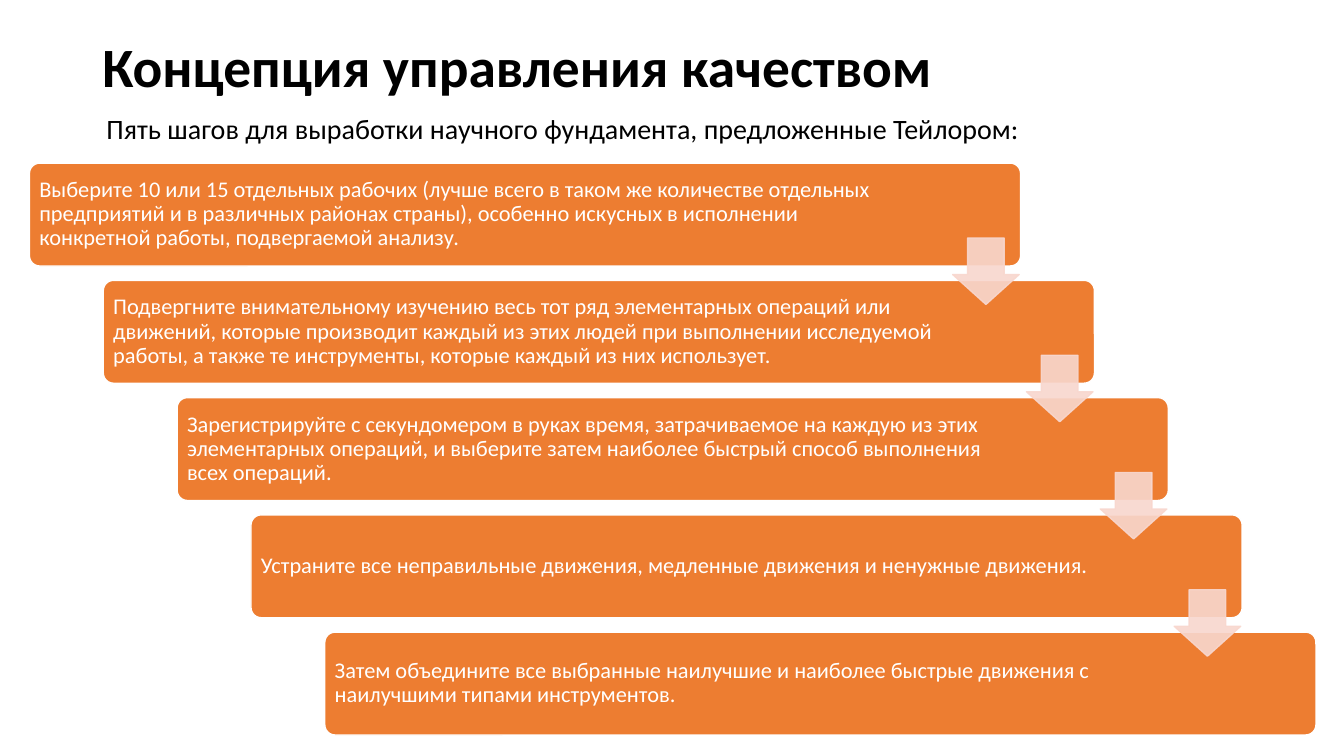
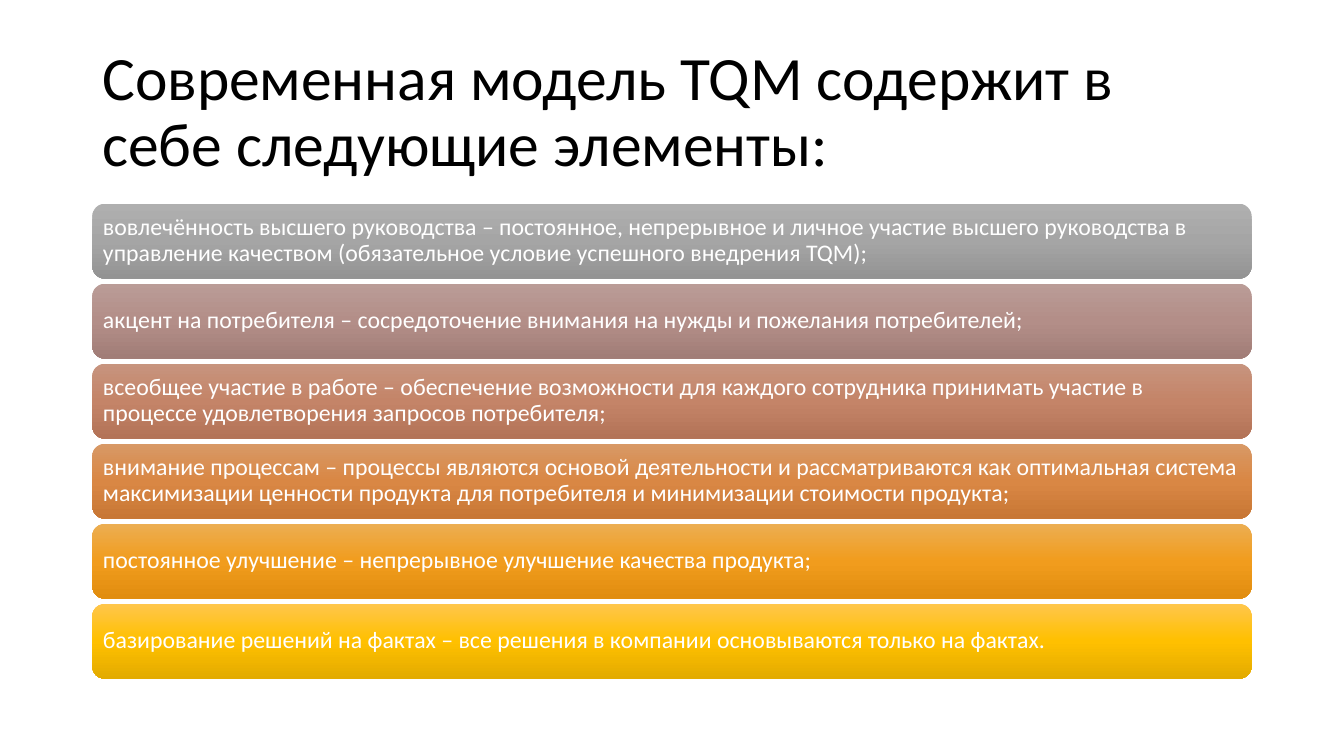
from copy import deepcopy

from pptx import Presentation
from pptx.dml.color import RGBColor
from pptx.enum.shapes import MSO_SHAPE
from pptx.enum.text import MSO_ANCHOR, PP_ALIGN
from pptx.oxml.ns import qn
from pptx.util import Pt
from lxml import etree

ROUNDED = MSO_SHAPE.ROUNDED_RECTANGLE
DOWN_ARROW = MSO_SHAPE.DOWN_ARROW
MIDDLE, TOP = MSO_ANCHOR.MIDDLE, MSO_ANCHOR.TOP
LEFT, CENTER = PP_ALIGN.LEFT, PP_ALIGN.CENTER

FONT = "Calibri"
BLACK = RGBColor(0x00, 0x00, 0x00)
WHITE = RGBColor(0xFF, 0xFF, 0xFF)
ORANGE = RGBColor(0xED, 0x7D, 0x31)
PALE_PINK = RGBColor(0xF8, 0xD7, 0xCE)

MARGIN, CONTENT_WIDTH = 66, 828
TITLE_TOP = 29
INSET = 5

STEP_LEFT, STEP_TOP = 21, 116.5
STEP_SHIFT, STEP_PITCH = 52.75, 83.75
STEP_WIDTH, STEP_HEIGHT = 708, 73.5
ARROW_SIZE, ARROW_RIGHT, ARROW_DOWN = 47.5, 659.5, 53.5

ROW_TOP, ROW_PITCH, ROW_HEIGHT = 145.5, 57.15, 53.5

STEPS = [
    ("Выберите 10 или 15 отдельных рабочих (лучше всего в таком же количестве отдельных "
     "предприятий и в различных районах страны), особенно искусных в исполнении "
     "конкретной работы, подвергаемой анализу.", 89),
    ("Подвергните внимательному изучению весь тот ряд элементарных операций или "
     "движений, которые производит каждый из этих людей при выполнении исследуемой "
     "работы, а также те инструменты, которые каждый из них использует.", 106),
    ("Зарегистрируйте с секундомером в руках время, затрачиваемое на каждую из этих "
     "элементарных операций, и выберите затем наиболее быстрый способ выполнения "
     "всех операций.", 106),
    ("Устраните все неправильные движения, медленные движения и ненужные движения.", 106),
    ("Затем объедините все выбранные наилучшие и наиболее быстрые движения с "
     "наилучшими типами инструментов.", 106),
]

ELEMENTS = [
    ("вовлечённость высшего руководства – постоянное, непрерывное и личное участие "
     "высшего руководства в управление качеством (обязательное условие успешного "
     "внедрения TQM);",
     (RGBColor(0xAF, 0xAF, 0xAF), RGBColor(0xA5, 0xA5, 0xA5), RGBColor(0x93, 0x93, 0x93))),
    ("акцент на потребителя – сосредоточение внимания на нужды и пожелания потребителей;",
     (RGBColor(0xBA, 0x9C, 0x97), RGBColor(0xB3, 0x8E, 0x88), RGBColor(0xA1, 0x7D, 0x77))),
    ("всеобщее участие в работе – обеспечение возможности для каждого сотрудника "
     "принимать участие в процессе удовлетворения запросов потребителя;",
     (RGBColor(0xC7, 0x94, 0x7E), RGBColor(0xC4, 0x84, 0x68), RGBColor(0xB3, 0x73, 0x57))),
    ("внимание процессам – процессы являются основой деятельности и рассматриваются как "
     "оптимальная система максимизации ценности продукта для потребителя и минимизации "
     "стоимости продукта;",
     (RGBColor(0xD8, 0x99, 0x66), RGBColor(0xD9, 0x87, 0x44), RGBColor(0xC8, 0x77, 0x35))),
    ("постоянное улучшение – непрерывное улучшение качества продукта;",
     (RGBColor(0xEC, 0xAE, 0x52), RGBColor(0xF1, 0x9C, 0x1D), RGBColor(0xE1, 0x8D, 0x0F))),
    ("базирование решений на фактах – все решения в компании основываются только на фактах.",
     (RGBColor(0xFF, 0xC6, 0x4B), RGBColor(0xFF, 0xC0, 0x00), RGBColor(0xE3, 0xAB, 0x00))),
]


def write(shape, text, size, color=BLACK, bold=False, align=LEFT, anchor=MIDDLE,
          wrap=True, insets=None):
    frame = shape.text_frame
    frame.word_wrap = wrap
    frame.vertical_anchor = anchor
    if insets:
        frame.margin_left, frame.margin_top, frame.margin_right, frame.margin_bottom = map(Pt, insets)
    para = frame.paragraphs[0]
    para.alignment = align
    para.line_spacing = 0.9
    span = para.add_run()
    span.text = text
    span.font.name = FONT
    span.font.size = Pt(size)
    span.font.bold = bold
    span.font.color.rgb = color


def add_panel(page, kind, left, top, width, height):
    shape = page.shapes.add_shape(kind, Pt(left), Pt(top), Pt(width), Pt(height))
    shape.shadow.inherit = False
    return shape


deck = Presentation()
deck.slide_width, deck.slide_height = Pt(960), Pt(540)
pages = []

for text, size, bold, height in [
    ("Концепция управления качеством", 39.6, True, 41),
    ("Современная модель TQM содержит в себе следующие элементы:", 44, False, 104.5),
]:
    page = deck.slides.add_slide(deck.slide_layouts[6])
    title = page.shapes.add_textbox(Pt(MARGIN), Pt(TITLE_TOP), Pt(CONTENT_WIDTH), Pt(height))
    write(title, text, size, bold=bold)
    pages.append(page)

steps_page, elements_page = pages

for index, (text, right_inset) in enumerate(STEPS):
    left = STEP_LEFT + index * STEP_SHIFT
    top = STEP_TOP + index * STEP_PITCH
    box = add_panel(steps_page, ROUNDED, left, top, STEP_WIDTH, STEP_HEIGHT)
    box.adjustments[0] = 0.1
    box.fill.solid()
    box.fill.fore_color.rgb = ORANGE
    box.line.color.rgb = WHITE
    box.line.width = Pt(1)
    write(box, text, 16, color=WHITE, insets=(INSET, INSET, right_inset, INSET))

for index in range(len(STEPS) - 1):
    left = STEP_LEFT + index * STEP_SHIFT + ARROW_RIGHT
    top = STEP_TOP + index * STEP_PITCH + ARROW_DOWN
    arrow = add_panel(steps_page, DOWN_ARROW, left, top, ARROW_SIZE, ARROW_SIZE)
    arrow.adjustments[0] = 0.55
    arrow.adjustments[1] = 0.45
    arrow.fill.solid()
    arrow.fill.fore_color.rgb = PALE_PINK
    arrow.line.color.rgb = PALE_PINK
    arrow.line.width = Pt(1)
    for color in arrow._element.spPr.iter(qn("a:srgbClr")):
        etree.SubElement(color, qn("a:alpha")).set("val", "90000")

subtitle = steps_page.shapes.add_textbox(Pt(MARGIN), Pt(78.5), Pt(672), Pt(29))
write(subtitle, "Пять шагов для выработки научного фундамента, предложенные Тейлором:", 20,
      align=CENTER, anchor=TOP, wrap=False)

for index, (text, colors) in enumerate(ELEMENTS):
    row = add_panel(elements_page, ROUNDED, MARGIN, ROW_TOP + index * ROW_PITCH,
                    CONTENT_WIDTH, ROW_HEIGHT)
    row.line.fill.background()
    row.fill.gradient()
    row.fill.gradient_angle = 270
    stop_list = row._element.spPr.find(".//" + qn("a:gsLst"))
    stop_list.insert(1, deepcopy(stop_list[0]))
    for stop, color, position in zip(row.fill.gradient_stops, colors, (0, 0.5, 1)):
        stop.color.rgb = color
        stop.position = position
    write(row, text, 17, color=WHITE, insets=(INSET,) * 4)

deck.save("out.pptx")
